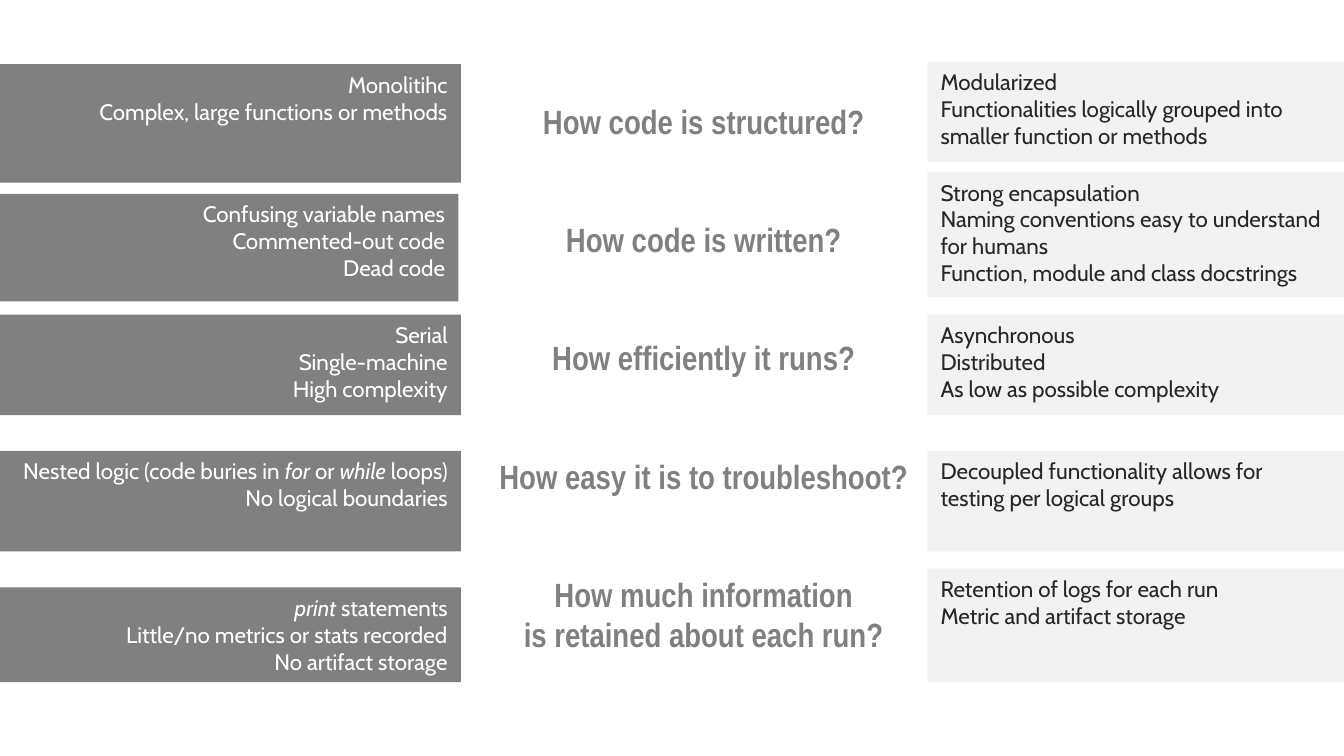
from pptx import Presentation
from pptx.dml.color import RGBColor
from pptx.enum.shapes import MSO_SHAPE as Shape
from pptx.enum.text import MSO_ANCHOR as Anchor, PP_ALIGN as Align
from pptx.util import Pt

GREY, PALE, DARK, WHITE = "808080", "F2F2F2", "262626", "FFFFFF"
PANEL_FONT, QUESTION_FONT = "Cabin", "Arial Narrow"
LEFT_WIDTH, RIGHT_LEFT, RIGHT_WIDTH = 247, 496.8, 223.2
QUESTION_CENTER, QUESTION_TOP, QUESTION_STEP = 377, 50.4, 63.4

BEFORE = [
    (0, 34.4, 63.5, ["Monolitihc", "Complex, large functions or methods"]),
    (-1.4, 103.9, 57.6, ["Confusing variable names", "Commented-out code", "Dead code"]),
    (0, 168.6, 53.8, ["Serial", "Single-machine", "High complexity"]),
    (0, 241.6, 53.8, ["Nested logic (code buries in *for* or *while *loops)",
                      "No logical boundaries"]),
    (0, 314.7, 50.8, ["*print *statements", "Little/no metrics or stats recorded",
                      "No artifact storage"]),
]
QUESTIONS = [
    (190.8, 29, ["How code is structured?"]),
    (167, 29, ["How code is written?"]),
    (182.2, 29, ["How efficiently it runs?"]),
    (238.3, 29, ["How easy it is to troubleshoot?"]),
    (213.1, 51, ["How much information", "is retained about each run?"]),
]
AFTER = [
    (33, 53.8, ["Modularized",
                "Functionalities logically grouped into smaller function or methods"]),
    (92.2, 67, ["Strong encapsulation",
                "Naming conventions easy to understand for humans",
                "Function, module and class docstrings"]),
    (168.6, 53.8, ["Asynchronous", "Distributed", "As low as possible complexity"]),
    (241.6, 53.8, ["Decoupled functionality allows for testing per logical groups"]),
    (304.6, 61, ["Retention of logs for each run", "Metric and artifact storage"]),
]


def color(value):
    """Turn a hex string into a colour."""
    return RGBColor.from_string(value)


def write_lines(frame, lines, font, size, ink, align, bold=False):
    """Write one paragraph per line, with starred words in italics."""
    for index, line in enumerate(lines):
        paragraph = frame.add_paragraph() if index else frame.paragraphs[0]
        paragraph.alignment = align
        for position, text in enumerate(line.split("*")):
            if text:
                run = paragraph.add_run()
                run.text = text
                run.font.name = font
                run.font.size = Pt(size)
                run.font.bold = bold
                run.font.italic = position % 2 == 1
                run.font.color.rgb = color(ink)


def add_panel(slide, box, lines, fill, ink, align):
    """Add a filled answer panel with text from its top."""
    shape = slide.shapes.add_shape(Shape.RECTANGLE, *map(Pt, box))
    shape.shadow.inherit = False
    shape.fill.solid()
    shape.fill.fore_color.rgb = color(fill)
    shape.line.fill.background()
    shape.text_frame.word_wrap = True
    shape.text_frame.vertical_anchor = Anchor.TOP
    write_lines(shape.text_frame, lines, PANEL_FONT, 12, ink, align)


def add_question(slide, box, lines):
    """Add a centred question between two panels."""
    frame = slide.shapes.add_textbox(*map(Pt, box)).text_frame
    frame.word_wrap = False
    write_lines(frame, lines, QUESTION_FONT, 18, GREY, Align.CENTER, bold=True)


def build_comparison(slide):
    """Lay out the questions with the answers on both sides."""
    for row, (width, height, lines) in enumerate(QUESTIONS):
        box = (QUESTION_CENTER - width / 2, QUESTION_TOP + row * QUESTION_STEP, width, height)
        add_question(slide, box, lines)
    for top, height, lines in AFTER:
        add_panel(slide, (RIGHT_LEFT, top, RIGHT_WIDTH, height), lines, PALE, DARK, Align.LEFT)
    for left, top, height, lines in BEFORE:
        add_panel(slide, (left, top, LEFT_WIDTH, height), lines, GREY, WHITE, Align.RIGHT)


def main():
    """Build and save the presentation."""
    presentation = Presentation()
    presentation.slide_width, presentation.slide_height = Pt(720), Pt(405)
    slide = presentation.slides.add_slide(presentation.slide_layouts[6])
    build_comparison(slide)
    presentation.save("out.pptx")


if __name__ == "__main__":
    main()
